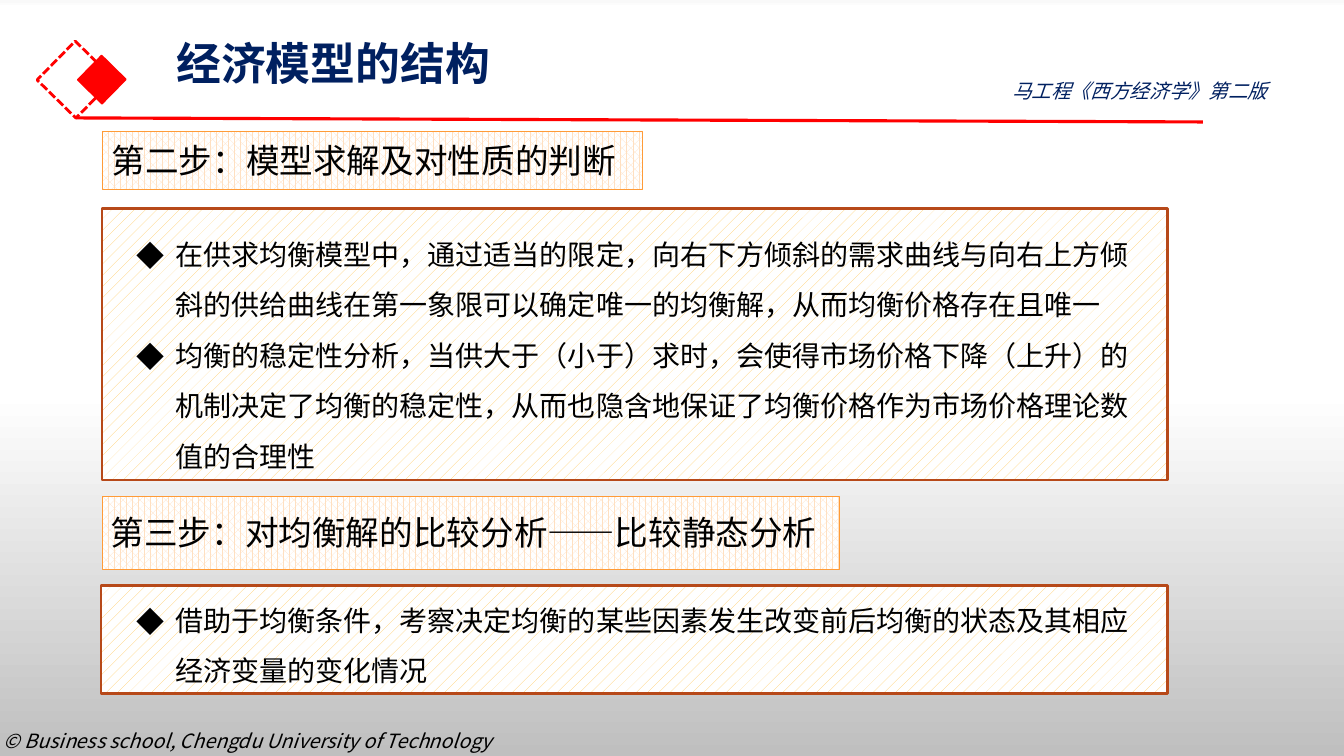
from lxml import etree
from pptx import Presentation
from pptx.dml.color import RGBColor
from pptx.enum import dml, shapes, text
from pptx.oxml import ns
from pptx.util import Inches, Pt

THEME = {
    "font": "Noto Sans CJK SC",
    "ink": "000000", "navy": "002060", "red": "FF0000", "white": "FFFFFF",
    "panel_line": "B74919", "panel_hatch": "FFCC66",
    "step_line": "FF9B37", "step_hatch": "FFE0C1",
    "title": 32, "step": 24, "body": 20, "small": 14,
}
BACKDROP = [(0, "F9F9F9"), (1, "FFFFFF"), (52, "FFFFFF"), (100, "BFBFBF")]

TITLE = "经济模型的结构"
BOOK = "马工程《西方经济学》第二版"
FOOTER = "© Business school, Chengdu University of Technology"
STEP_TWO = "第二步：模型求解及对性质的判断"
STEP_THREE = "第三步：对均衡解的比较分析——比较静态分析"
SOLUTION_POINTS = [
    "在供求均衡模型中，通过适当的限定，向右下方倾斜的需求曲线与向右上方倾斜的供给曲线在第一象限可以确定唯一的均衡解，从而均衡价格存在且唯一",
    "均衡的稳定性分析，当供大于（小于）求时，会使得市场价格下降（上升）的机制决定了均衡的稳定性，从而也隐含地保证了均衡价格作为市场价格理论数值的合理性",
]
STATICS_POINTS = ["借助于均衡条件，考察决定均衡的某些因素发生改变前后均衡的状态及其相应经济变量的变化情况"]

PANELS = [(1, 5.81, 10.58, 1.07), (1.01, 2.07, 10.57, 2.69)]
DIAMONDS = [((0.48, 0.52, 0.54, 0.54), None, 2), ((0.84, 0.62, 0.34, 0.34), "red", 1)]
LISTS = [((1.26, 2.14, 10.19, 2.63), SOLUTION_POINTS),
         ((1.26, 5.77, 10.19, 1.11), STATICS_POINTS)]


def colour(name):
    return RGBColor.from_string(THEME[name])


def add_child(parent, tag, **attributes):
    return etree.SubElement(parent, ns.qn(tag), attributes)


def paint_background(slide):
    slide.background.fill.solid()
    properties = slide.background._cSld.bg.bgPr
    properties.remove(properties[0])
    gradient = etree.Element(ns.qn("a:gradFill"), rotWithShape="1")
    properties.insert(0, gradient)
    stops = add_child(gradient, "a:gsLst")
    for percent, shade in BACKDROP:
        stop = add_child(stops, "a:gs", pos=str(percent * 1000))
        add_child(stop, "a:srgbClr", val=shade)
    add_child(gradient, "a:lin", ang="5400000", scaled="0")


def add_box(slide, place, line, width):
    box = slide.shapes.add_shape(shapes.MSO_SHAPE.RECTANGLE, *map(Inches, place))
    box.shadow.inherit = False
    box.fill.background()
    box.line.color.rgb = colour(line)
    box.line.width = Pt(width)
    return box


def add_hatched(slide, place, line, width, pattern, hatch):
    box = add_box(slide, place, line, width)
    box.fill.patterned()
    box.fill.pattern = pattern
    box.fill.fore_color.rgb = colour(hatch)
    box.fill.back_color.rgb = colour("white")
    return box


def add_step(slide, place):
    return add_hatched(slide, place, "step_line", 0.25,
                       dml.MSO_PATTERN.PERCENT_60, "step_hatch")


def write(paragraph, words, size, ink="ink", bold=False, italic=False):
    paragraph.alignment = text.PP_ALIGN.LEFT
    run = paragraph.add_run()
    run.text = words
    run.font.size = Pt(THEME[size])
    run.font.bold = bold
    run.font.italic = italic
    run.font.color.rgb = colour(ink)
    run.font.name = THEME["font"]
    add_child(run.font._element, "a:ea", typeface=THEME["font"])


def add_frame(slide, place, wrap=True):
    frame = slide.shapes.add_textbox(*map(Inches, place)).text_frame
    frame.word_wrap = wrap
    return frame


def add_list(slide, place, points):
    frame = add_frame(slide, place)
    for index, point in enumerate(points):
        paragraph = frame.add_paragraph() if index else frame.paragraphs[0]
        paragraph.line_spacing = 1.5
        properties = paragraph._p.get_or_add_pPr()
        properties.set("marL", str(Inches(0.38)))
        properties.set("indent", str(-Inches(0.38)))
        add_child(properties, "a:buFont", typeface=THEME["font"])
        add_child(properties, "a:buChar", char="◆")
        write(paragraph, point, "body")


def main():
    deck = Presentation()
    deck.slide_width, deck.slide_height = Inches(13.33), Inches(7.5)
    slide = deck.slides.add_slide(deck.slide_layouts[6])
    paint_background(slide)

    footer = add_frame(slide, (-0.06, 7.18, 5.31, 0.34), wrap=False)
    write(footer.paragraphs[0], FOOTER, "small", italic=True)

    for place in PANELS:
        add_hatched(slide, place, "panel_line", 1.75,
                    dml.MSO_PATTERN.PERCENT_10, "panel_hatch")

    for place, fill, width in DIAMONDS:
        diamond = add_box(slide, place, "red", width)
        diamond.rotation = 314.5
        if fill:
            diamond.fill.solid()
            diamond.fill.fore_color.rgb = colour(fill)
        else:
            diamond.line.dash_style = dml.MSO_LINE.SQUARE_DOT

    rule = slide.shapes.add_connector(
        shapes.MSO_CONNECTOR.STRAIGHT, *map(Inches, (0.75, 1.17, 11.93, 1.21)))
    rule.line.color.rgb = colour("red")
    rule.line.width = Pt(2.25)
    add_child(rule._element.spPr, "a:effectLst")

    title = add_frame(slide, (1.65, 0.3, 11.5, 0.7))
    title.vertical_anchor = text.MSO_ANCHOR.MIDDLE
    title.paragraphs[0].line_spacing = 0.9
    write(title.paragraphs[0], TITLE, "title", "navy", bold=True)

    book = add_frame(slide, (9.94, 0.73, 3.24, 0.34))
    write(book.paragraphs[0], BOOK, "small", "navy", italic=True)

    for place, points in LISTS:
        add_list(slide, place, points)

    step_two = add_step(slide, (1.01, 1.3, 5.36, 0.58)).text_frame
    step_two.word_wrap = False
    step_two.vertical_anchor = text.MSO_ANCHOR.MIDDLE
    write(step_two.paragraphs[0], STEP_TWO, "step")

    add_step(slide, (1.01, 4.92, 7.31, 0.73))
    step_three = add_frame(slide, (1, 5.03, 7.68, 0.5))
    write(step_three.paragraphs[0], STEP_THREE, "step")

    deck.save("out.pptx")


if __name__ == "__main__":
    main()
